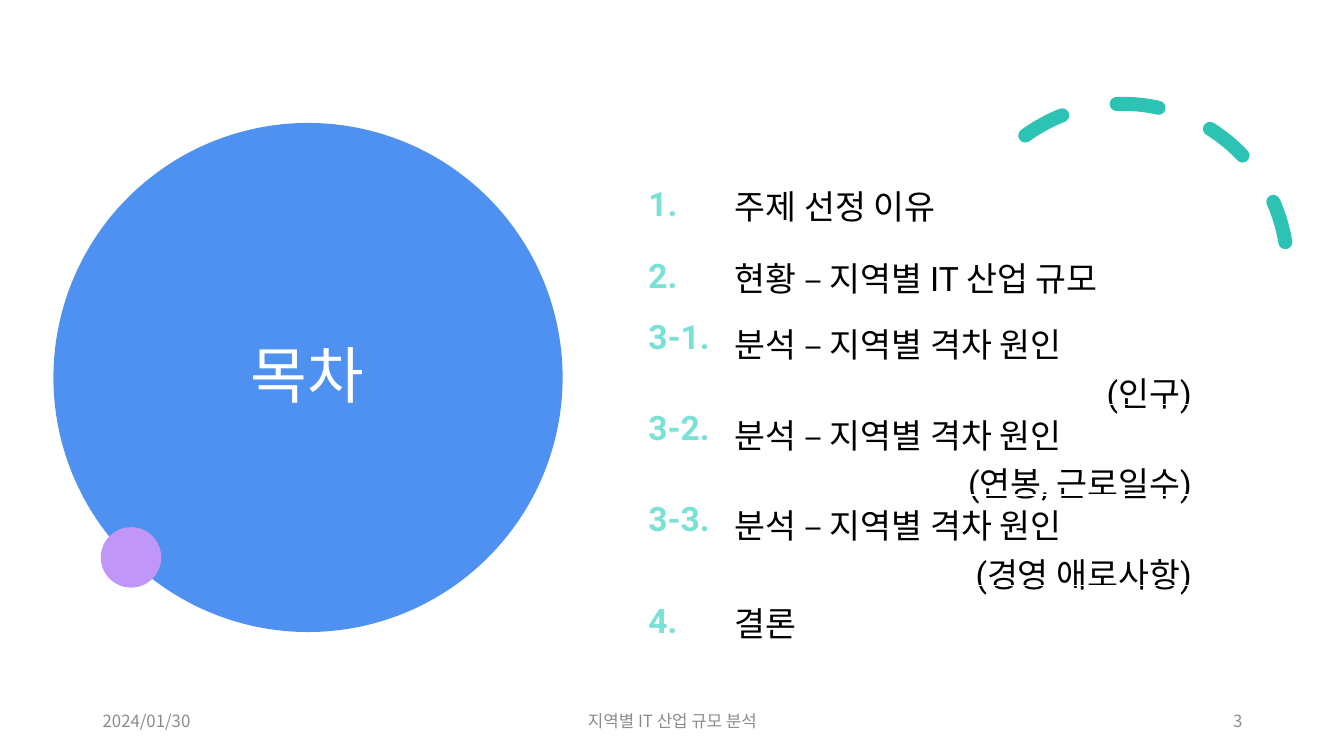
from lxml.etree import SubElement
from pptx import Presentation
from pptx.dml.color import RGBColor
from pptx.enum.dml import MSO_LINE
from pptx.enum.shapes import MSO_SHAPE as Kind
from pptx.enum.text import MSO_ANCHOR as Anchor, PP_ALIGN as Align
from pptx.oxml.ns import qn
from pptx.util import Inches, Pt

NOTO = "Noto Sans CJK KR"
ROBOTO = "Roboto"
ITEMS = [
    ("1.", "주제 선정 이유"),
    ("2.", "현황 – 지역별 IT 산업 규모"),
    ("3-1.", "분석 – 지역별 격차 원인\n(인구)"),
    ("3-2.", "분석 – 지역별 격차 원인\n(연봉, 근로일수)"),
    ("3-3.", "분석 – 지역별 격차 원인\n(경영 애로사항)"),
    ("4.", "결론"),
]


def paint(code):
    return RGBColor.from_string(code)


def style(frame, size, color, face=NOTO, bold=False, align=Align.LEFT):
    for para in frame.paragraphs:
        para.alignment = align
        for run in para.runs:
            font = run.font
            font.size, font.bold, font.name = Pt(size), bold, face
            font.color.rgb = paint(color)
            SubElement(font._element, qn("a:ea"), typeface=NOTO)


def add_label(slide, box, text, size, color, align):
    frame = slide.shapes.add_textbox(*map(Inches, box)).text_frame
    frame.word_wrap = True
    frame.vertical_anchor = Anchor.MIDDLE
    frame.text = text
    style(frame, size, color, align=align)
    return frame


def add_disc(slide, left, top, size, color):
    disc = slide.shapes.add_shape(Kind.OVAL, *map(Inches, (left, top, size, size)))
    disc.shadow.inherit = False
    disc.fill.solid()
    disc.fill.fore_color.rgb = paint(color)
    disc.line.fill.background()


def add_arc(slide, left, top, size):
    arc = slide.shapes.add_shape(Kind.ARC, *map(Inches, (left, top, size, size)))
    arc.shadow.inherit = False
    arc.adjustments[0] = 158.174
    arc.adjustments[1] = 17.814
    arc.rotation = 330.2
    arc.fill.background()
    arc.line.color.rgb = paint("2CC3B4")
    arc.line.width = Pt(10)
    arc.line.dash_style = MSO_LINE.DASH
    arc.line._ln.set("cap", "rnd")


def add_title(slide, left, top, size):
    add_disc(slide, left, top, size, "4E91F0")
    add_arc(slide, left + 8.97, top - 0.19, 3.27)
    add_disc(slide, left + 0.47, top + 4.01, 0.6, "C097F8")
    box = (left + 0.75, top + 0.31, 3.54, 4.45)
    frame = add_label(slide, box, "목차", 44, "FFFFFF", Align.CENTER)
    frame.paragraphs[0].line_spacing = 0.9


def add_list(slide, left, top, width, row):
    count = len(ITEMS)
    box = map(Inches, (left, top, width, row * count))
    table = slide.shapes.add_table(count, 2, *box).table
    table.first_row = table.horz_banding = False
    table.columns[0].width = Inches(0.86)
    table.columns[1].width = Inches(width - 0.86)
    for index, (mark, text) in enumerate(ITEMS):
        table.rows[index].height = Inches(row)
        num, body = table.rows[index].cells
        for cell, words in ((num, mark), (body, text)):
            cell.fill.background()
            cell.vertical_anchor = Anchor.MIDDLE
            cell.text_frame.text = words
        if "-" in mark:
            num.vertical_anchor = Anchor.TOP
        style(num.text_frame, 24, "7AE1D7", ROBOTO, True)
        style(body.text_frame, 24, "000000", ROBOTO)
        for para in body.text_frame.paragraphs[1:]:
            para.alignment = Align.RIGHT


def add_footer(slide, left, top, width, height):
    parts = [
        (0, 3, "2024/01/30", Align.LEFT),
        (3.5, 4.5, "지역별 IT 산업 규모 분석", Align.CENTER),
        (width - 3, 3, "3", Align.RIGHT),
    ]
    for shift, span, text, align in parts:
        add_label(slide, (left + shift, top, span, height), text, 12, "8C8C8C", align)


def main():
    deck = Presentation()
    deck.slide_width, deck.slide_height = Inches(13.33), Inches(7.5)
    slide = deck.slides.add_slide(deck.slide_layouts[6])
    add_title(slide, 0.53, 1.22, 5.05)
    add_list(slide, 6.33, 1.67, 5.59, 0.72)
    add_footer(slide, 0.92, 6.95, 11.5, 0.4)
    deck.save("out.pptx")


if __name__ == "__main__":
    main()
